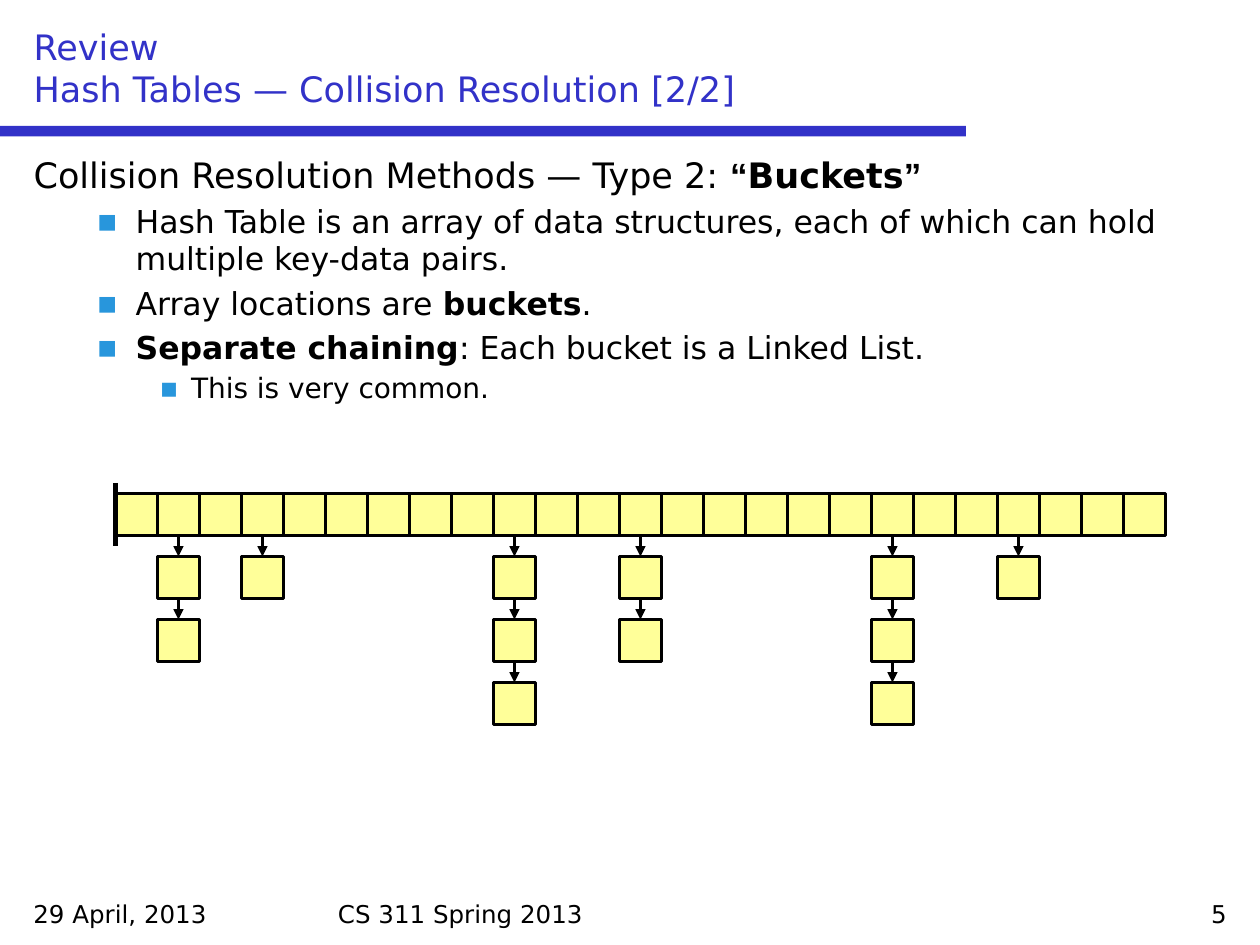
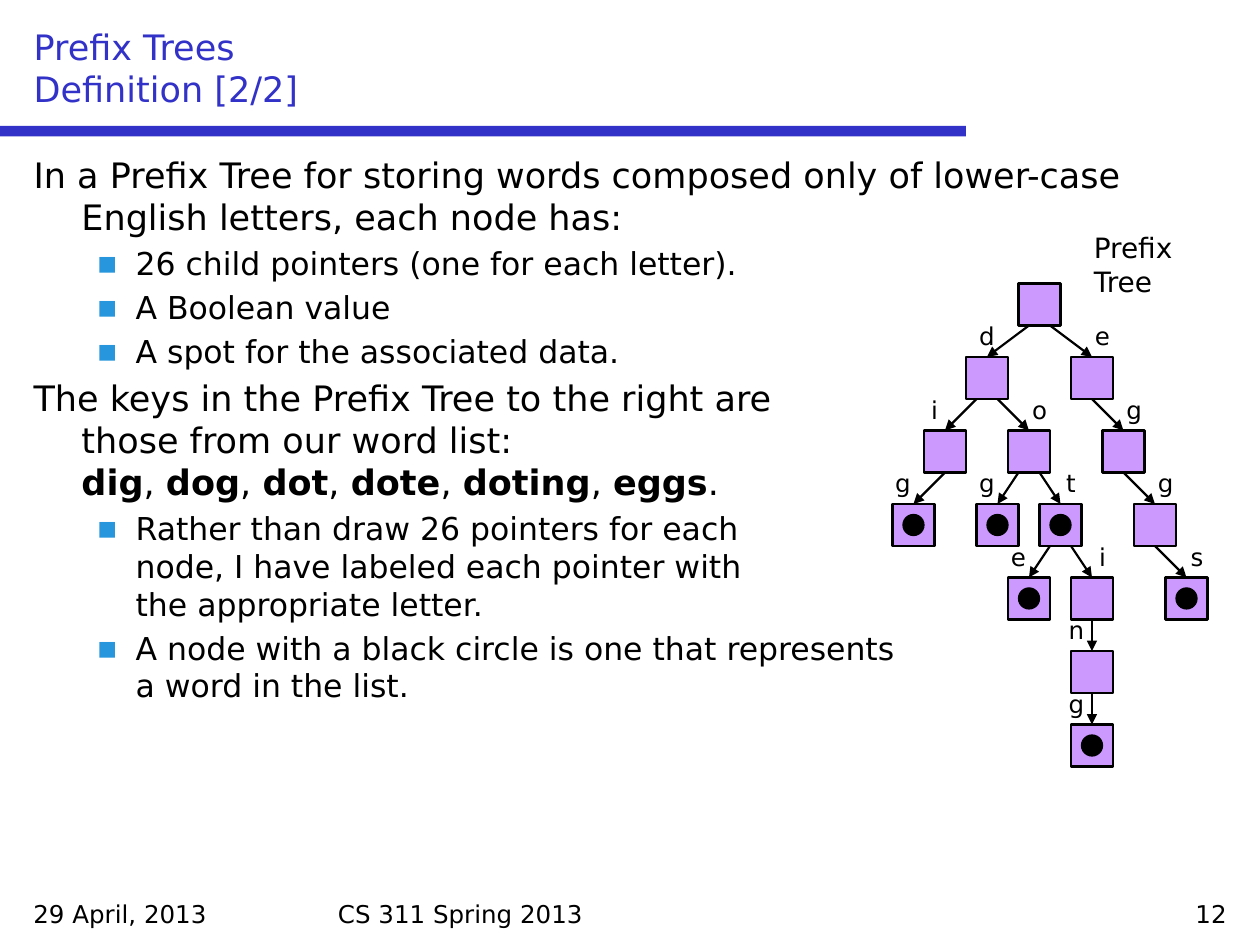
import copy
from dataclasses import dataclass

import pptx
import pptx.util
from pptx.dml.color import RGBColor
from pptx.enum.shapes import MSO_CONNECTOR, MSO_SHAPE
from pptx.enum.text import MSO_ANCHOR, MSO_AUTO_SIZE, PP_ALIGN
from pptx.oxml.ns import qn
from pptx.util import Inches, Pt


@dataclass(frozen=True)
class Theme:
    font: str = "DejaVu Sans"
    quote_font: str = "Arial"
    accent: str = "3232C8"
    text: str = "000000"
    bullet: str = "2896DC"
    bucket: str = "FFFF99"
    node: str = "CC99FF"
    title_size: int = 20
    body_sizes: tuple = (20, 18, 16)
    # Left margin and hanging indent of each list level, in inches
    indents: tuple = ((0.38, -0.38), (0.81, -0.31), (1.25, -0.25))
    caption_size: int = 16
    small_size: int = 14
    line: float = 1.25
    wall: float = 3


T = Theme()
CELL = 4  # side of a box, in grid units
BOLD = {"bold": True}
QUOTE = {"bold": True, "name": T.quote_font}


def grid(n):
    """Everything sits on a grid of twelve units to the inch."""
    return Inches(n / 12)


def rgb(code):
    return RGBColor.from_string(code)


# Text

def add_runs(p, parts, size, color=T.text):
    """Add strings or (string, format) pairs; a newline is a line break."""
    for part in parts:
        text, extra = (part, {}) if isinstance(part, str) else part
        values = {"name": T.font, "size": Pt(size), "bold": False, **extra}
        for i, line in enumerate(text.split("\n")):
            if i:
                br = p._p.add_br()
                br.append(copy.deepcopy(r._r.rPr))
            if not line:
                continue
            r = p.add_run()
            r.text = line
            for name, value in values.items():
                setattr(r.font, name, value)
            r.font.color.rgb = rgb(color)


def add_label(s, text, x, y, w, h, size, align=PP_ALIGN.LEFT):
    tf = s.shapes.add_textbox(grid(x), grid(y), grid(w), grid(h)).text_frame
    tf.word_wrap = True
    p = tf.paragraphs[0]
    p.alignment = align
    add_runs(p, [text], size)


def place(sp, x, y, w, h, anchor):
    box = {"left": x, "top": y, "width": w, "height": h}
    for name, value in box.items():
        setattr(sp, name, grid(value))
    tf = sp.text_frame
    tf.word_wrap = True
    tf.auto_size = MSO_AUTO_SIZE.NONE
    tf.vertical_anchor = anchor
    return tf


def set_bullet(p, level):
    """Set the indents, and a square bullet below the top level."""
    pPr = p._p.get_or_add_pPr()
    for name, value in zip(("marL", "indent"), T.indents[level]):
        pPr.set(name, str(Inches(value)))
    if level == 0:
        pPr.append(pPr.makeelement(qn("a:buNone"), {}))
        return
    color = pPr.makeelement(qn("a:buClr"), {})
    color.append(color.makeelement(qn("a:srgbClr"), {"val": T.bullet}))
    pPr.append(color)
    pPr.append(pPr.makeelement(qn("a:buFont"), {"typeface": T.font}))
    pPr.append(pPr.makeelement(qn("a:buChar"), {"char": "▪"}))


def fill_body(tf, items):
    for i, (level, *parts) in enumerate(items):
        p = tf.add_paragraph() if i else tf.paragraphs[0]
        p.level = level
        set_bullet(p, level)
        add_runs(p, parts, T.body_sizes[level])


# Shapes

def add_solid(s, kind, x, y, w, h, fill, line=None):
    sp = s.shapes.add_shape(kind, grid(x), grid(y), grid(w), grid(h))
    sp.shadow.inherit = False
    sp.fill.solid()
    sp.fill.fore_color.rgb = rgb(fill)
    if line:
        sp.line.color.rgb = rgb(T.text)
        sp.line.width = Pt(line)
    else:
        sp.line.fill.background()
    return sp


def add_box(s, x, y, fill):
    add_solid(s, MSO_SHAPE.RECTANGLE, x, y, CELL, CELL, fill, T.line)


def add_line(s, x1, y1, x2, y2, width=T.line, arrow=True):
    c = s.shapes.add_connector(MSO_CONNECTOR.STRAIGHT,
                               grid(x1), grid(y1), grid(x2), grid(y2))
    c.line.color.rgb = rgb(T.text)
    c.line.width = Pt(width)
    spPr = c._element.spPr
    spPr.append(spPr.makeelement(qn("a:effectLst"), {}))
    if arrow:
        ln = c.line._get_or_add_ln()
        ln.append(ln.makeelement(qn("a:tailEnd"), {"type": "triangle"}))


# Shared slide frame

def add_slide(prs, title, items, number):
    s = prs.slides.add_slide(prs.slide_layouts[1])
    tf = place(s.shapes.title, 2, 2, 116, 9, MSO_ANCHOR.BOTTOM)
    p = tf.paragraphs[0]
    p.alignment = PP_ALIGN.LEFT
    add_runs(p, [title], T.title_size, T.accent)
    fill_body(place(s.placeholders[1], 2, 14, 116, 70, MSO_ANCHOR.TOP), items)
    footers = (("29 April, 2013", 2, 28, PP_ALIGN.LEFT),
               ("CS 311 Spring 2013", 31, 58, PP_ALIGN.LEFT),
               (str(number), 90, 28, PP_ALIGN.RIGHT))
    for text, x, w, align in footers:
        add_label(s, text, x, 85, w, 4, T.small_size, align)
    return s


def add_master_band(prs, s):
    """Draw the title band and move it to the slide master."""
    band = add_solid(s, MSO_SHAPE.RECTANGLE, 0, 12, 92, 1, T.accent)
    prs.slide_master.shapes._spTree.append(band._element)


# Hash table with separate chaining

def draw_hash_table(s):
    left, top, count, step = 11, 47, 25, 6
    chains = {1: 2, 3: 1, 9: 3, 12: 2, 18: 3, 21: 1}  # bucket: list length
    for i in range(count):
        x = left + i * CELL
        add_box(s, x, top, T.bucket)
        for k in range(chains.get(i, 0)):
            y = top + (k + 1) * step
            add_line(s, x + 2, y - 2, x + 2, y)
            add_box(s, x, y, T.bucket)
    add_line(s, left, top - 1, left, top + CELL + 1, T.wall, arrow=False)


# Prefix tree

WORDS = {"dig", "dog", "dot", "dote", "doting", "eggs"}
# Prefix: left of its node, left of the letter on the pointer to it
TREE = {
    "": (97, None),
    "d": (92, 92), "e": (102, 103),
    "di": (88, 87), "do": (96, 97), "eg": (105, 106),
    "dig": (85, 84), "dog": (93, 92), "dot": (99, 100), "egg": (108, 109),
    "dote": (96, 95), "doti": (102, 103), "eggs": (111, 112),
    "dotin": (102, 100.5), "doting": (102, 100.5),
}


def draw_prefix_tree(s):
    top, step = 27, 7
    add_label(s, "Prefix Tree", 103, 21.4, 13, 7.7, T.caption_size)
    for prefix, (x, label_x) in TREE.items():
        y = top + step * len(prefix)
        add_box(s, x, y, T.node)
        if prefix in WORDS:
            add_solid(s, MSO_SHAPE.OVAL, x + 1, y + 1, 2, 2, T.text, 0.75)
        if not prefix:
            continue
        # A lone pointer leaves from the middle, a pair from either side
        parent = prefix[:-1]
        siblings = [k for k in TREE if k and k[:-1] == parent]
        offset = 2 if len(siblings) == 1 else 1 + 2 * siblings.index(prefix)
        add_line(s, TREE[parent][0] + offset, y - step + CELL, x + 2, y)
        add_label(s, prefix[-1], label_x, y - 4, 4, 4, T.small_size,
                  PP_ALIGN.CENTER)


def main():
    prs = pptx.Presentation()
    prs.slide_width, prs.slide_height = Inches(10), Inches(7.5)

    # Hash tables
    s = add_slide(prs, "Review\nHash Tables — Collision Resolution [2/2]", [
        (0, "Collision Resolution Methods — Type 2: ",
         ("“", QUOTE), ("Buckets", BOLD), ("”", QUOTE)),
        (1, "Hash Table is an array of data structures, each of which can "
            "hold multiple key-data pairs."),
        (1, "Array locations are ", ("buckets", BOLD), "."),
        (1, ("Separate chaining", BOLD), ": Each bucket is a Linked List."),
        (2, "This is very common."),
    ], 5)
    add_master_band(prs, s)
    draw_hash_table(s)

    # Prefix trees
    s = add_slide(prs, "Prefix Trees\nDefinition [2/2]", [
        (0, "In a Prefix Tree for storing words composed only of lower-case "
            "English letters, each node has:"),
        (1, "26 child pointers (one for each letter)."),
        (1, "A Boolean value"),
        (1, "A spot for the associated data."),
        (0, "The keys in the Prefix Tree to the right are\n"
            "those from our word list:\n",
         ("dig", BOLD), ", ", ("dog", BOLD), ", ", ("dot", BOLD), ", ",
         ("dote", BOLD), ", ", ("doting", BOLD), ", ", ("eggs", BOLD), "."),
        (1, "Rather than draw 26 pointers for each\n"
            "node, I have labeled each pointer with\n"
            "the appropriate letter."),
        (1, "A node with a black circle is one that represents\n"
            "a word in the list."),
    ], 12)
    draw_prefix_tree(s)

    prs.save("out.pptx")


main()
